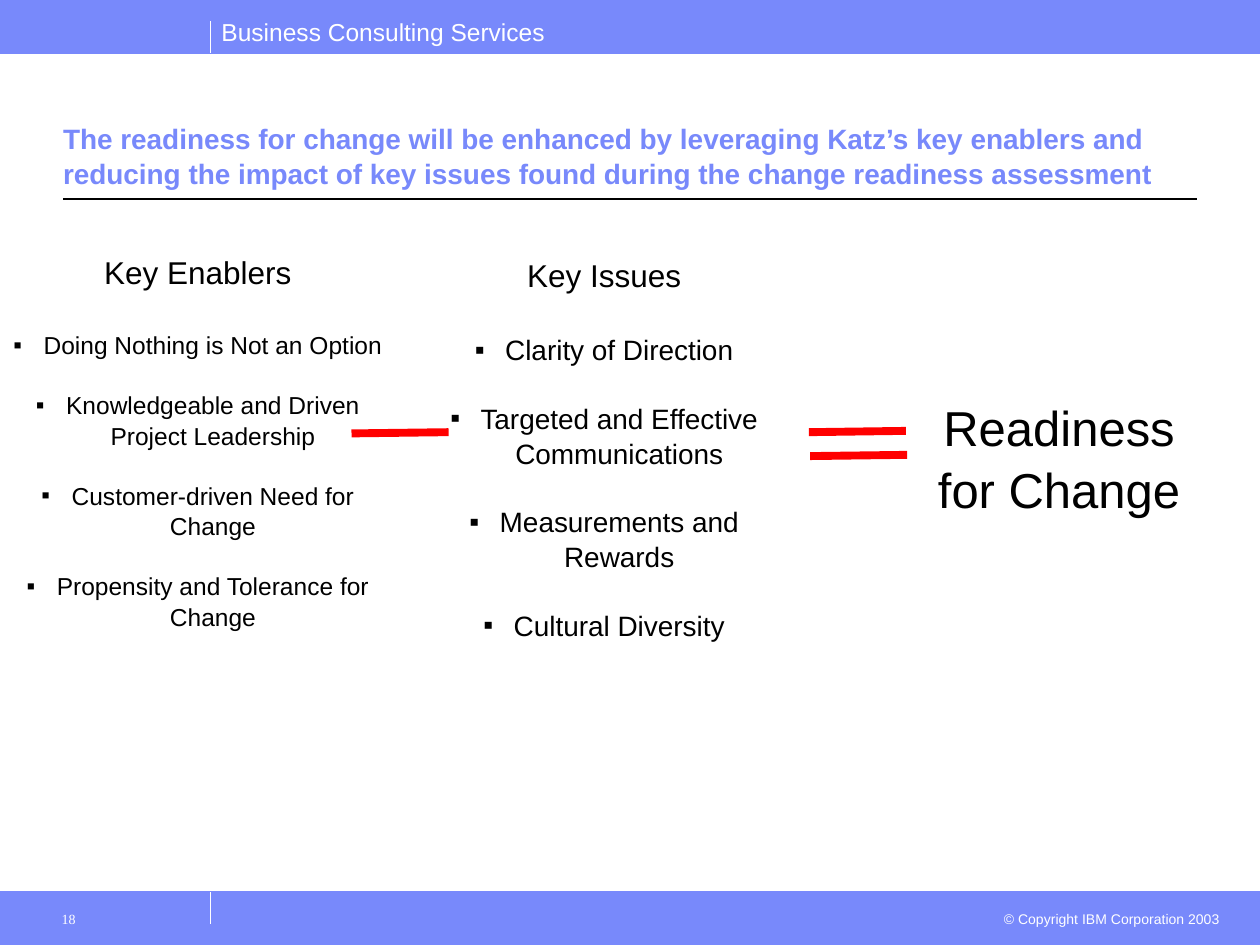
from lxml import etree
from pptx import Presentation
from pptx.dml.color import RGBColor
from pptx.enum.shapes import MSO_CONNECTOR, MSO_SHAPE
from pptx.enum.text import MSO_ANCHOR, MSO_AUTO_SIZE, PP_ALIGN
from pptx.oxml.ns import qn
from pptx.util import Inches, Pt

LEFT, CENTER, RIGHT = PP_ALIGN.LEFT, PP_ALIGN.CENTER, PP_ALIGN.RIGHT
TOP, BOTTOM = MSO_ANCHOR.TOP, MSO_ANCHOR.BOTTOM
COLORS = {"band": "7889FB", "white": "FFFFFF", "ink": "000000", "sign": "FF0000"}

# Content
TITLE = ("The readiness for change will be enhanced by leveraging Katz’s key enablers and "
         "reducing the impact of key issues found during the change readiness assessment")
PRACTICE = "Business Consulting Services"
COPYRIGHT = "© Copyright IBM Corporation 2003"
PAGE_NUMBER = "18"
OUTCOME = "Readiness for Change"
FACTORS = [
    {"heading": "Key Enablers", "size": 14, "box": (-0.02, 1.95, 3.18, 4.1),
     "items": ["Doing Nothing is Not an Option",
               "Knowledgeable and Driven Project Leadership",
               "Customer-driven Need for Change",
               "Propensity and Tolerance for Change"]},
    {"heading": "Key Issues", "size": 16, "box": (3.28, 1.97, 3.03, 3.1),
     "items": ["Clarity of Direction",
               "Targeted and Effective Communications",
               "Measurements and Rewards",
               "Cultural Diversity"]},
]

# Layout, in inches
WIDTH, HEIGHT = 10, 7.5
BAND = 0.42
MARGIN = 0.5
DIVIDER_X, DIVIDER_LENGTH = 1.67, 0.25
RULE_Y = 1.58
SIGN_WIDTH, SIGN_RISE = 0.77, 0.01
SIGN_STARTS = [(2.79, 3.44), (6.42, 3.43), (6.43, 3.62)]  # minus, then equals
HANG = 0.24
HEADING_SIZE = 18
LINE_SPACING = 1.04
GAP = 1.2  # space before, as a share of the text size


def rgb(name):
    return RGBColor.from_string(COLORS[name])


def add_line(start, end, color, weight):
    line = slide.shapes.add_connector(MSO_CONNECTOR.STRAIGHT,
                                      *[Inches(v) for v in (*start, *end)])
    line.line.color.rgb = rgb(color)
    line.line.width = Pt(weight)
    etree.SubElement(line._element.spPr, qn("a:effectLst"))


def add_band(top):
    band = slide.shapes.add_shape(MSO_SHAPE.RECTANGLE, 0, Inches(top),
                                  Inches(WIDTH), Inches(BAND))
    band.shadow.inherit = False
    band.fill.solid()
    band.fill.fore_color.rgb = rgb("band")
    band.line.color.rgb = rgb("band")
    band.line.width = Pt(0.75)


def place(shape, box):
    for side, value in zip(("left", "top", "width", "height"), box):
        setattr(shape, side, Inches(value))


def format_frame(frame, insets=(0.1, 0.05, 0.1, 0.05), wrap=True, anchor=TOP):
    sides = ("margin_left", "margin_top", "margin_right", "margin_bottom")
    values = dict(zip(sides, map(Inches, insets)), word_wrap=wrap,
                  vertical_anchor=anchor, auto_size=MSO_AUTO_SIZE.NONE)
    for name, value in values.items():
        setattr(frame, name, value)


def write(paragraph, text, size, color="ink", align=LEFT, font="Arial", bold=False, before=0):
    paragraph.text = text
    paragraph.alignment = align
    paragraph.line_spacing = LINE_SPACING
    paragraph.space_before = Pt(before)
    run_font = paragraph.runs[0].font
    for name, value in {"name": font, "size": Pt(size), "bold": bold}.items():
        setattr(run_font, name, value)
    run_font.color.rgb = rgb(color)


def add_bullet(paragraph):
    properties = paragraph._p.get_or_add_pPr()
    properties.set("marL", str(Inches(HANG)))
    properties.set("indent", str(-Inches(HANG)))
    bullet_color = etree.SubElement(properties, qn("a:buClr"))
    etree.SubElement(bullet_color, qn("a:srgbClr"), val=COLORS["ink"])
    etree.SubElement(properties, qn("a:buFont"), typeface="Arial")
    etree.SubElement(properties, qn("a:buChar"), char="▪")


def add_label(box, text, size, frame_format=None, **text_format):
    label = slide.shapes.add_textbox(*[Inches(v) for v in box])
    format_frame(label.text_frame, **(frame_format or {}))
    write(label.text_frame.paragraphs[0], text, size, **text_format)
    return label.text_frame


prs = Presentation()
prs.slide_width, prs.slide_height = Inches(WIDTH), Inches(HEIGHT)
slide = prs.slides.add_slide(prs.slide_layouts[5])

# Header and footer bands with their dividers
for band_top, edge in ((HEIGHT - BAND, HEIGHT - BAND), (0, BAND)):
    add_band(band_top)
    add_line((0, edge), (WIDTH, edge), "band", 0.5)
for divider_bottom in (BAND, HEIGHT - BAND + DIVIDER_LENGTH):
    add_line((DIVIDER_X, divider_bottom), (DIVIDER_X, divider_bottom - DIVIDER_LENGTH),
             "white", 0.75)
add_label((1.66, 0.08, 2.77, 0.34), PRACTICE, 14, {"wrap": False}, color="white")
add_label((7.83, 7.17, 1.95, 0.24), COPYRIGHT, 8, color="white", align=RIGHT)
add_label((0.33, 7.15, 1.33, 0.35), PAGE_NUMBER, 8, {"insets": (0.16, 0.07, 0.1, 0.05)},
          color="white", font="Times New Roman")

# Title and the rule under it
title = slide.shapes.title
place(title, (MARGIN, 0.64, WIDTH - 2 * MARGIN, 0.92))
format_frame(title.text_frame, insets=(0, 0.05, 0, 0.05), anchor=BOTTOM)
write(title.text_frame.paragraphs[0], TITLE, 16, color="band", bold=True)
add_line((MARGIN, RULE_Y), (WIDTH - MARGIN, RULE_Y), "ink", 0.75)

# Enablers and issues
for factor in FACTORS:
    frame = add_label(factor["box"], factor["heading"], HEADING_SIZE, align=CENTER)
    size = factor["size"]
    for index, item in enumerate(factor["items"]):
        paragraph = frame.add_paragraph()
        gap = GAP * (size if index else HEADING_SIZE)
        write(paragraph, item, size, align=CENTER, before=gap)
        add_bullet(paragraph)

# Minus and equals signs, then the outcome
for x, y in SIGN_STARTS:
    add_line((x, y), (x + SIGN_WIDTH, y - SIGN_RISE), "sign", 4.5)
add_label((7.17, 3.09, 2.47, 1.04), OUTCOME, 28, align=CENTER)

prs.save("out.pptx")
